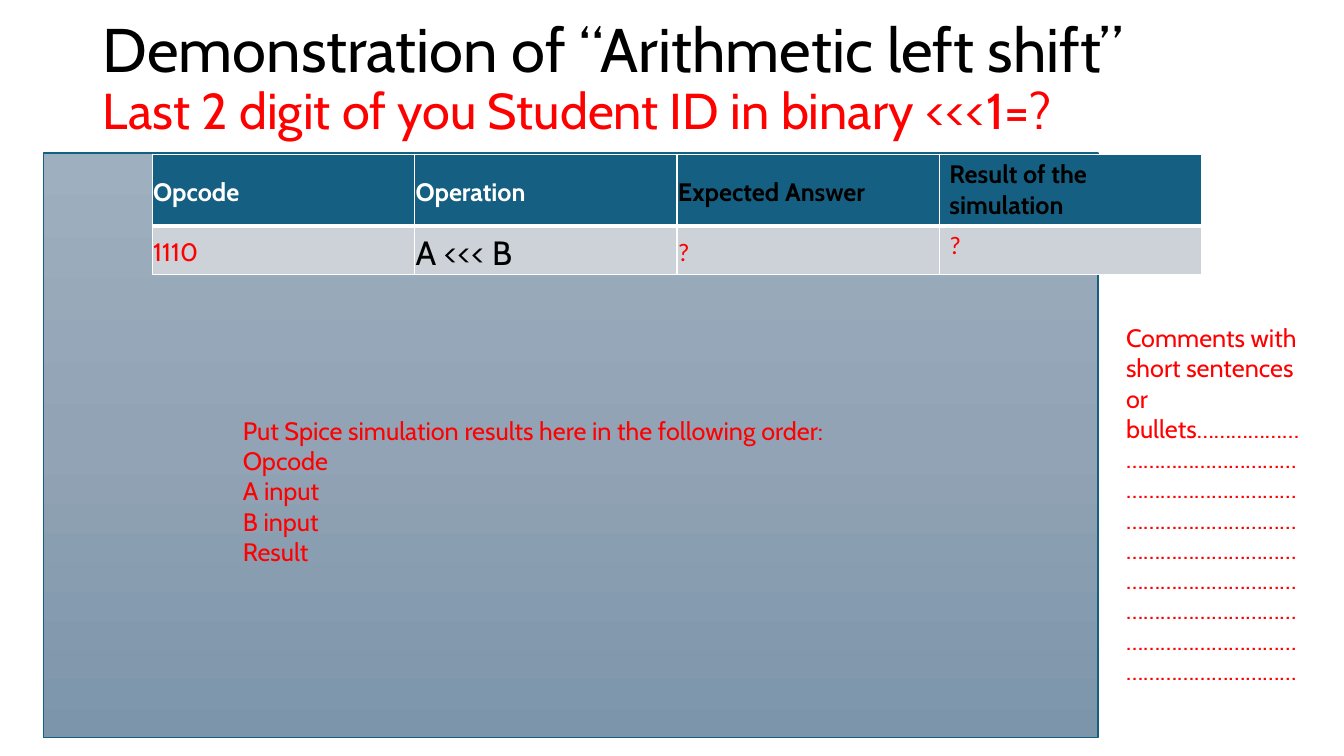
from copy import deepcopy

from lxml import etree
from pptx import Presentation
from pptx.dml.color import RGBColor
from pptx.enum.shapes import MSO_SHAPE
from pptx.enum.text import MSO_ANCHOR as Anchor, MSO_AUTO_SIZE as AutoSize, PP_ALIGN as Align
from pptx.oxml.ns import qn
from pptx.util import Inches, Pt

COLORS = {
    "black": "000000", "white": "FFFFFF", "red": "FF0000",
    "teal": "156082", "row": "CCD2D8",
    "panel_top": "9EAFBF", "panel_middle": "91A3B4", "panel_bottom": "7C95AB",
}
FONT = "Cabin"


def rgb(name):
    return RGBColor.from_string(COLORS[name])


def style(font, size, color, bold=False, name=FONT):
    font.name, font.size, font.bold = name, Pt(size), bold
    font.color.rgb = rgb(color)


def place(shape, box):
    shape.left, shape.top, shape.width, shape.height = (Inches(v) for v in box)


# Title in two sizes, split by a line break
def add_title(page, box, heading, question):
    title = page.shapes.title
    place(title, box)
    frame = title.text_frame
    frame.auto_size, frame.word_wrap = AutoSize.NONE, True
    frame.vertical_anchor = Anchor.MIDDLE
    para = frame.paragraphs[0]
    para.alignment, para.line_spacing = Align.LEFT, 0.9
    span = para.add_run()
    span.text = heading
    style(span.font, 44, "black")
    para.add_line_break()
    span = para.add_run()
    span.text = question
    style(span.font, 36, "red")


# Gradient panel that holds the simulation results
def add_panel(page, box):
    panel = page.shapes.add_shape(MSO_SHAPE.RECTANGLE, *(Inches(v) for v in box))
    panel.shadow.inherit = False
    panel.line.color.rgb, panel.line.width = rgb("teal"), Pt(1)
    panel.fill.gradient()
    panel.fill.gradient_angle = 270
    first = panel._element.spPr.find(".//" + qn("a:gs"))
    first.addnext(deepcopy(first))
    shades = ("panel_top", "panel_middle", "panel_bottom")
    for stop, position, shade in zip(panel.fill.gradient_stops, (0, 0.5, 1), shades):
        stop.position = position
        stop.color.rgb = rgb(shade)


def set_borders(cell, widths):
    properties = cell._tc.get_or_add_tcPr()
    for index, (side, width) in enumerate(widths.items()):
        line = etree.Element(qn("a:ln" + side), w=str(Pt(width)))
        fill = etree.SubElement(line, qn("a:solidFill"))
        etree.SubElement(fill, qn("a:srgbClr"), val=COLORS["white"])
        properties.insert(index, line)


# Table: each cell is text, size, colour, font
def add_opcode_table(page, box, row_heights):
    rows = [
        [("Opcode", 18, "white", FONT), ("Operation", 18, "white", FONT),
         ("Expected Answer", 18, "black", FONT),
         ("Result of the simulation", 18, "black", FONT)],
        [("1110", 18, "red", FONT), ("A <<< B", 24, "black", FONT),
         ("?", 18, "red", "Calibri"), ("?", 18, "red", "Calibri")],
    ]
    columns = len(rows[0])
    table = page.shapes.add_table(len(rows), columns, *(Inches(v) for v in box)).table
    for column in table.columns:
        column.width = Inches(box[2] / columns)
    for r, row in enumerate(rows):
        table.rows[r].height = Inches(row_heights[r])
        header = r == 0
        for c, (text, size, color, font_name) in enumerate(row):
            cell = table.cell(r, c)
            cell.text = text
            cell.fill.solid()
            cell.fill.fore_color.rgb = rgb("teal" if header else "row")
            set_borders(cell, {"L": 1, "R": 1, "T": 1 if header else 3,
                               "B": 3 if header else 1})
            para = cell.text_frame.paragraphs[0]
            style(para.font, size, color, header, font_name)
            if c < columns - 1:
                cell.vertical_anchor = Anchor.MIDDLE
                cell.margin_left = cell.margin_right = Inches(0.01)
                cell.margin_top = cell.margin_bottom = Inches(0.01)
                para.alignment = Align.JUSTIFY
                para.line_spacing, para.space_after = 1.15, Pt(8)


# Red instruction text
def add_instructions(page, box, lines):
    frame = page.shapes.add_textbox(*(Inches(v) for v in box)).text_frame
    frame.word_wrap, frame.auto_size = True, AutoSize.SHAPE_TO_FIT_TEXT
    for index, line in enumerate(lines):
        para = frame.add_paragraph() if index else frame.paragraphs[0]
        para.text = line
        style(para.font, 18, "red")


def main():
    deck = Presentation()
    deck.slide_width, deck.slide_height = Inches(13.33), Inches(7.5)
    page = deck.slides.add_slide(deck.slide_layouts[5])
    add_title(page, (0.92, 0.07, 11.5, 1.45), "Demonstration of “Arithmetic left shift”",
              "Last 2 digit of you Student ID in binary <<<1=?")
    add_panel(page, (0.43, 1.52, 10.46, 5.8))
    add_opcode_table(page, (1.51, 1.53, 10.41, 1.19), (0.71, 0.48))
    add_instructions(page, (11.07, 3.15, 2.05, 4.04),
                     ["Comments with short sentences or bullets" + "…" * 86])
    add_instructions(page, (2.31, 4.07, 6.31, 1.62),
                     ["Put Spice simulation results here in the following order:",
                      "Opcode", "A input", "B input", "Result"])
    deck.save("out.pptx")


if __name__ == "__main__":
    main()
